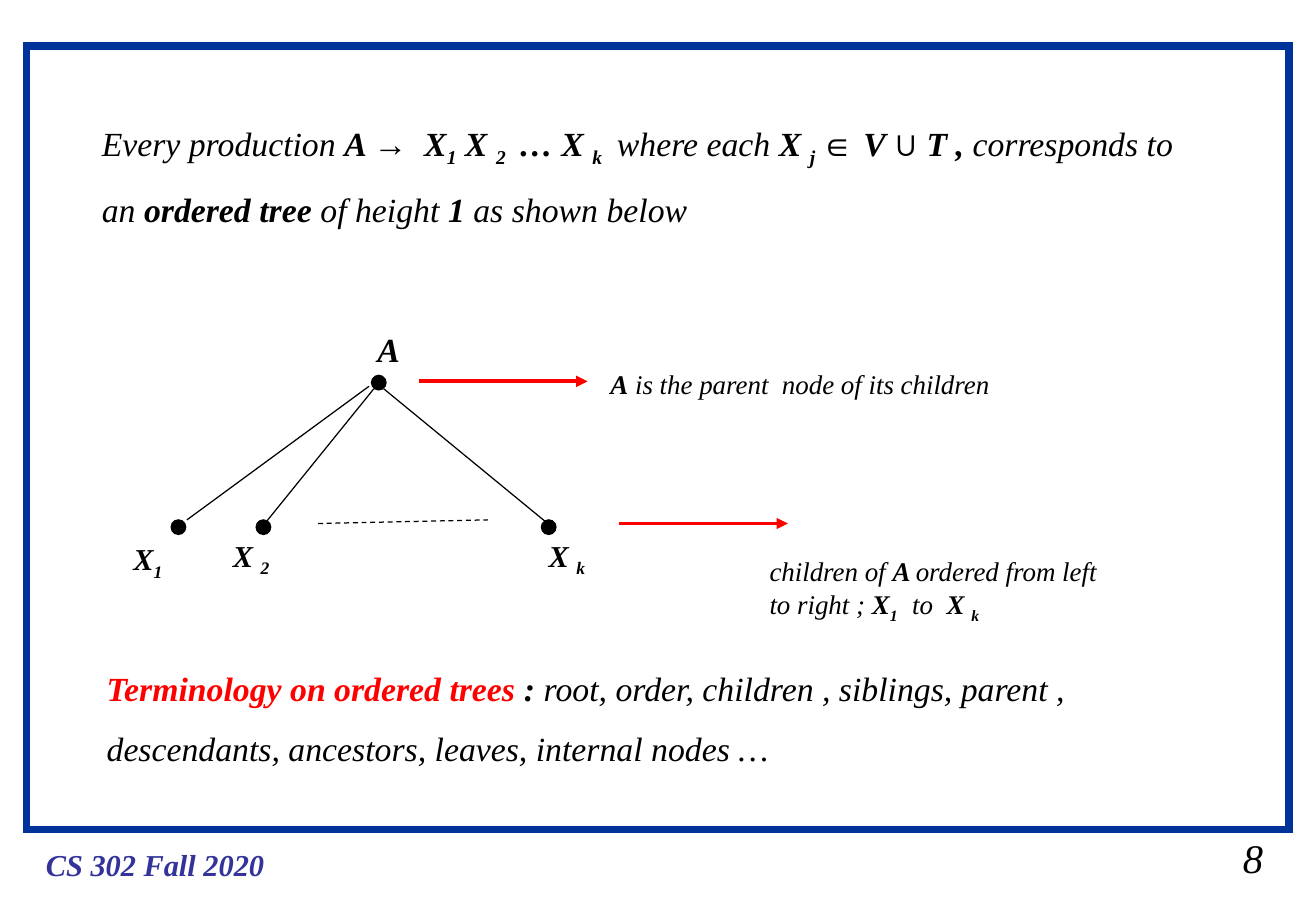
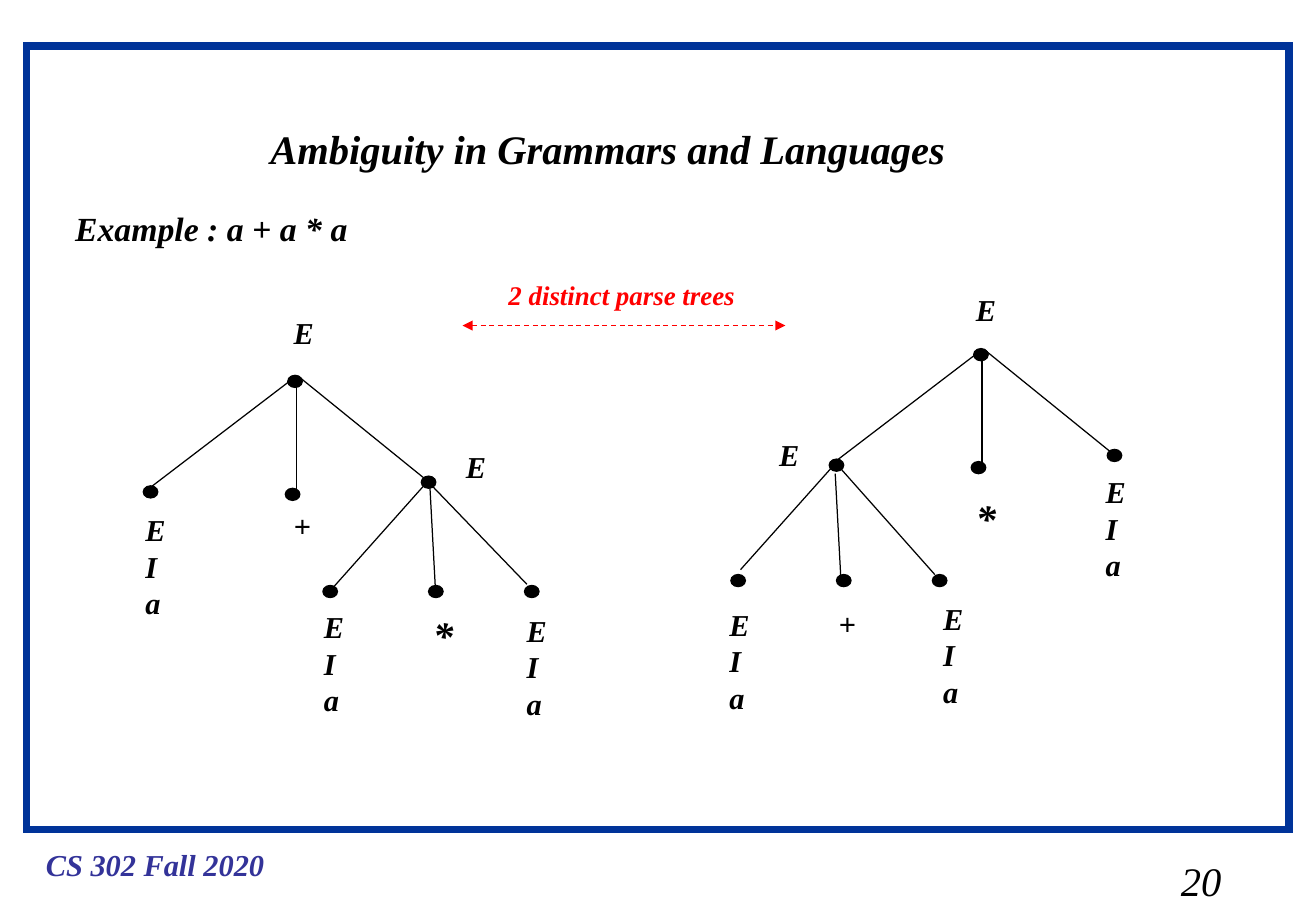
from lxml import etree
from pptx import Presentation
from pptx.dml.color import RGBColor
from pptx.enum.dml import MSO_LINE
from pptx.enum.shapes import MSO_CONNECTOR as Connector, MSO_SHAPE as Shape
from pptx.enum.text import MSO_ANCHOR, MSO_AUTO_SIZE as AutoSize
from pptx.oxml.ns import qn
from pptx.util import Pt

PX = 9144  # 100 px to the inch
WIDTH, HEIGHT = 1084, 750
BLACK = RGBColor(0x00, 0x00, 0x00)
RED = RGBColor(0xFF, 0x00, 0x00)
FRAME_BLUE = RGBColor(0x00, 0x33, 0x99)
FOOTER_BLUE = RGBColor(0x33, 0x33, 0x99)
SERIF, SANS = "Times New Roman", "Arial"

FRAME = (22, 38, 1040, 645)
FOOTER = ((28, 692, 200, 40), 18, "CS 302 Fall 2020")

# A text is a list of paragraphs, a paragraph a list of (words, style) runs.
# Style letters: b bold, s subscript, a sans font, r red.
PRODUCTION = [[
    ("Every production ", ""), ("A ", "b"), ("→", "ba"), ("  X", "b"), ("1", "bs"),
    (" X ", "b"), ("2 ", "bs"), (" … X ", "b"), ("k   ", "bs"), ("where each ", ""),
    ("X ", "b"), ("j ", "bs"), ("∈ ", "a"), ("V ", "b"), ("∪", "ba"), (" T , ", "b"),
    ("corresponds to an ", ""), ("ordered tree", "b"), (" of height ", ""),
    ("1 ", "b"), ("as shown below", ""),
]]
TERMINOLOGY = [
    [("Terminology on ordered trees ", "br"), (": ", "b"),
     ("root, order, children , siblings, parent ,", "")],
    [("descendants, ancestors, leaves, internal nodes …", "")],
]
CHILDREN_NOTE = [
    [("children of ", ""), ("A ", "b"), ("ordered from left", "")],
    [("to right ; ", ""), ("X", "b"), ("1  ", "bs"), (" to  ", ""),
     ("X ", "b"), ("k", "bs")],
]
PARENT_NOTE = [[("A", "b"), (" is the parent  node of its children", "")]]

# (left, top, width, height), size, text
ORDERED_TREE_TEXTS = [
    ((624, 452, 299, 67), 16, CHILDREN_NOTE),
    ((493, 298, 334, 37), 16, PARENT_NOTE),
    ((301, 266, 38, 44), 20, [[("A", "b")]]),
    ((100, 440, 44, 44), 18, [[("X", "b"), ("1", "bs")]]),
    ((182, 437, 50, 44), 18, [[("X ", "b"), ("2", "bs")]]),
    ((442, 437, 50, 44), 18, [[("X ", "b"), ("k", "bs")]]),
]
ORDERED_TREE_DOTS = [(306, 309), (141, 428), (211, 428), (446, 428)]
ORDERED_TREE_EDGES = [(304, 318, 154, 428), (308, 320, 219, 430), (316, 320, 450, 430)]
MORE_CHILDREN = (262, 431, 402, 428)
NOTE_ARROWS = [(510, 431, 649, 431), (345, 314, 484, 314)]

AMBIGUITY_TEXTS = [
    ((213, 97, 640, 50), 24, [[("Ambiguity in Grammars and Languages", "b")]]),
    ((52, 166, 300, 44), 20, [[("Example : a + a * a", "b")]]),
    ((409, 224, 240, 37), 16, [[("2 distinct parse trees", "br")]]),
]
TREES_ARROW = (381, 268, 647, 268)

# Upper level of a parse tree, relative to the root dot
UPPER_DOTS = [(0, 0), (-119, 91), (-2, 93), (110, 83)]
UPPER_EDGES = [(4, 3, -114, 93), (7, 0, 7, 100), (9, 1, 114, 86)]
# Lower level, relative to its first dot
LOWER_DOTS = [(0, 0), (87, 0), (166, 0)]
LEAF = "E I a"
PARSE_TREES = [
    {"root": (237, 309), "lower": (266, 482),
     "lower_edges": [(83, -82, 9, 1), (87, -85, 168, -1), (88, -84, 93, 9)],
     "labels": [("E", 232, 254), ("E", 374, 364), ("+", 232, 413), ("*", 347, 497),
                (LEAF, 110, 416), (LEAF, 257, 496), (LEAF, 424, 499)]},
    {"root": (802, 287), "lower": (602, 473),
     "lower_edges": [(83, -88, 8, -4), (88, -90, 168, 0), (86, -83, 91, 10)],
     "labels": [("E", 794, 235), ("E", 632, 354), ("*", 794, 401), ("+", 681, 493),
                (LEAF, 901, 385), (LEAF, 591, 494), (LEAF, 767, 489)]},
]
# label: width, height, size
LABEL_SIZES = {"E": (36, 40, 18), "+": (34, 40, 18), "*": (36, 50, 24), LEAF: (36, 100, 18)}


def scaled(lengths):
    return [length * PX for length in lengths]


def add_text(page, place, size, paragraphs, color=BLACK, wrap=False, spacing=None):
    box = page.shapes.add_textbox(*scaled(place))
    frame = box.text_frame
    frame.word_wrap = wrap
    frame.auto_size = AutoSize.SHAPE_TO_FIT_TEXT
    frame.vertical_anchor = MSO_ANCHOR.TOP
    for index, runs in enumerate(paragraphs):
        para = frame.add_paragraph() if index else frame.paragraphs[0]
        if spacing:
            para.line_spacing = spacing
        for words, style in runs:
            span = para.add_run()
            span.text = words
            font = span.font
            font.size = Pt(size)
            font.italic = True
            font.bold = "b" in style
            font.name = SANS if "a" in style else SERIF
            font.color.rgb = RED if "r" in style else color
            if "s" in style:
                span._r.get_or_add_rPr().set("baseline", "-25000")


def add_line(page, ends, color=BLACK, width=0.75, dashed=False, arrows=()):
    """Draw a line; arrows names the ends ("headEnd", "tailEnd") with a triangle."""
    line = page.shapes.add_connector(Connector.STRAIGHT, *scaled(ends))
    line.line.color.rgb = color
    line.line.width = Pt(width)
    if dashed:
        line.line.dash_style = MSO_LINE.DASH
    properties = line._element.spPr
    for end in arrows:
        etree.SubElement(properties.find(qn("a:ln")), qn(f"a:{end}"), type="triangle")
    etree.SubElement(properties, qn("a:effectLst"))


def add_shape(page, kind, place, color, width, filled):
    """Draw a shape whose outline has sharp corners."""
    shape = page.shapes.add_shape(kind, *scaled(place))
    shape.shadow.inherit = False
    if filled:
        shape.fill.solid()
        shape.fill.fore_color.rgb = color
    else:
        shape.fill.background()
    shape.line.color.rgb = color
    shape.line.width = Pt(width)
    outline = shape._element.spPr.find(qn("a:ln"))
    etree.SubElement(outline, qn("a:miter"), lim="800000")


def add_level(page, origin, dots, edges, dot_height):
    """Draw the dots and edges of one tree level, placed relative to origin."""
    left, top = origin
    for x, y in dots:
        place = (left + x, top + y, 12, dot_height)
        add_shape(page, Shape.OVAL, place, BLACK, 0.75, True)
    for x1, y1, x2, y2 in edges:
        add_line(page, (left + x1, top + y1, left + x2, top + y2))


def add_page(deck, number, number_place):
    page = deck.slides.add_slide(deck.slide_layouts[6])
    add_shape(page, Shape.RECTANGLE, FRAME, FRAME_BLUE, 4.5, False)
    place, size, words = FOOTER
    add_text(page, place, size, [[(words, "b")]], FOOTER_BLUE)
    add_text(page, number_place, 24, [[(number, "")]])
    return page


def add_ordered_tree_page(deck):
    page = add_page(deck, "8", (1014, 681, 36, 50))
    add_text(page, (74, 77, 927, 117), 20, PRODUCTION, wrap=True, spacing=1.5)
    add_text(page, (78, 528, 819, 110), 20, TERMINOLOGY, spacing=1.5)
    add_level(page, (0, 0), ORDERED_TREE_DOTS, ORDERED_TREE_EDGES, 12)
    add_line(page, MORE_CHILDREN, dashed=True)
    for ends in NOTE_ARROWS:
        add_line(page, ends, RED, 2.25, arrows=["tailEnd"])
    for place, size, text in ORDERED_TREE_TEXTS:
        add_text(page, place, size, text)


def add_ambiguity_page(deck):
    page = add_page(deck, "20", (963, 700, 53, 50))
    for place, size, text in AMBIGUITY_TEXTS:
        add_text(page, place, size, text, wrap=True)
    add_line(page, TREES_ARROW, RED, dashed=True, arrows=["headEnd", "tailEnd"])
    for tree in PARSE_TREES:
        add_level(page, tree["root"], UPPER_DOTS, UPPER_EDGES, 10)
        add_level(page, tree["lower"], LOWER_DOTS, tree["lower_edges"], 10)
        for label, left, top in tree["labels"]:
            width, height, size = LABEL_SIZES[label]
            lines = [[(symbol, "b")] for symbol in label.split()]
            add_text(page, (left, top, width, height), size, lines)


def main():
    deck = Presentation()
    deck.slide_width, deck.slide_height = scaled((WIDTH, HEIGHT))
    add_ordered_tree_page(deck)
    add_ambiguity_page(deck)
    deck.save("out.pptx")


if __name__ == "__main__":
    main()
